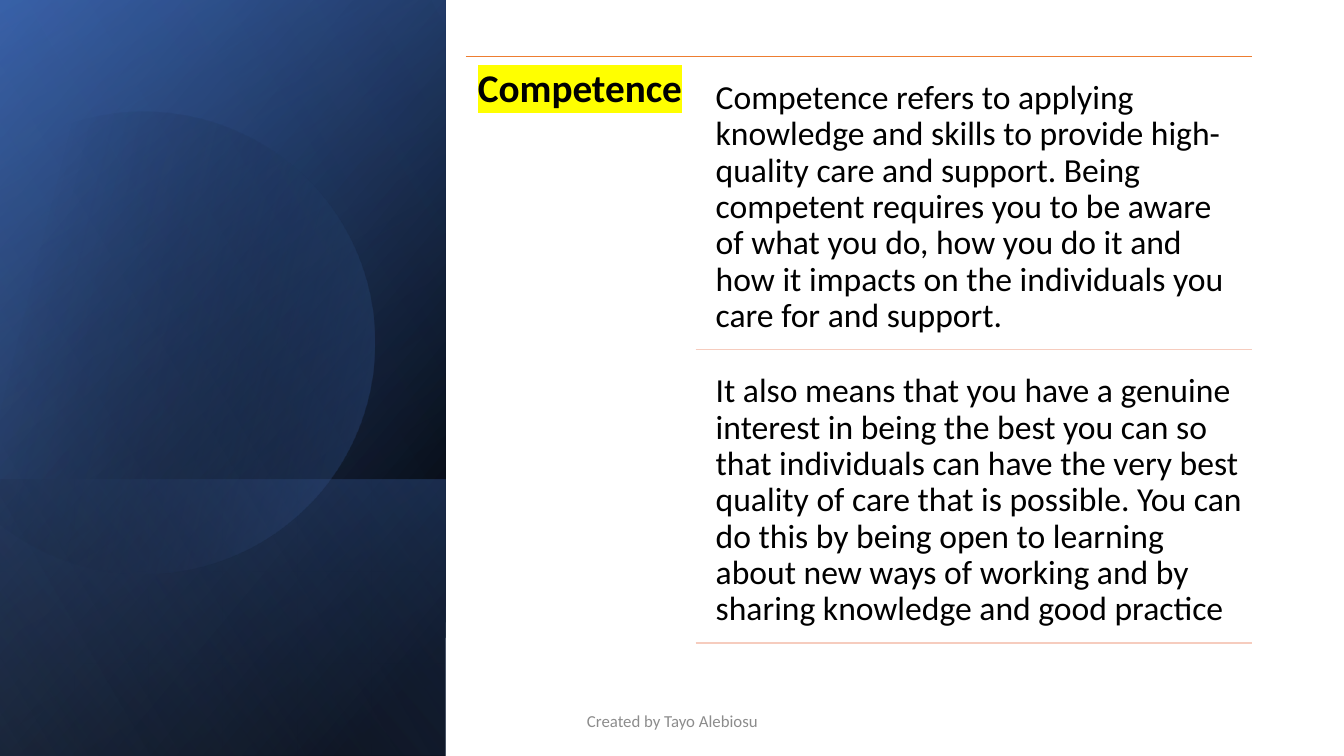
from math import acos, cos, degrees, radians, sin

from pptx import Presentation
from pptx.dml.color import RGBColor as RGB
from pptx.enum.shapes import MSO_CONNECTOR as CONNECTOR, MSO_SHAPE as SHAPE
from pptx.enum.text import MSO_ANCHOR as ANCHOR, MSO_AUTO_SIZE as AUTO_SIZE, PP_ALIGN as ALIGN
from pptx.oxml import parse_xml
from pptx.oxml.ns import nsdecls, qn
from pptx.util import Inches, Pt

COLORS = {
    "black": "000000", "navy": "2F5597", "blue": "4472C4", "sky": "8FAADC",
    "orange": "ED7D31", "peach": "F6CCBE", "yellow": "FFFF00", "grey": "8C8C8C",
}


def fill_gradient(shape, angle, stops):
    """Gradient of (position %, colour, opacity %) stops, without outline or shadow."""
    stop_xml = "".join(
        f'<a:gs pos="{position * 1000}"><a:srgbClr val="{COLORS[color]}">'
        f'<a:alpha val="{opacity * 1000}"/></a:srgbClr></a:gs>'
        for position, color, opacity in stops)
    gradient = parse_xml(
        f'<a:gradFill {nsdecls("a")} rotWithShape="1"><a:gsLst>{stop_xml}</a:gsLst>'
        f'<a:lin ang="{angle * 60000}" scaled="0"/></a:gradFill>')
    shape.shadow.inherit = False
    shape.line.fill.background()
    shape.fill.background()
    properties = shape._element.spPr
    properties.replace(properties.find(qn("a:noFill")), gradient)


def format_text(frame, size, color, inset):
    frame.word_wrap = True
    frame.auto_size = AUTO_SIZE.NONE
    frame.margin_left = frame.margin_right = Inches(inset)
    frame.margin_top = frame.margin_bottom = Inches(inset)
    font = frame.paragraphs[0].runs[0].font
    font.name, font.size = "Calibri", Pt(size)
    font.color.rgb = RGB.from_string(COLORS[color])
    return font


prs = Presentation()
prs.slide_width, prs.slide_height = Inches(13.33), Inches(7.5)
slide = prs.slides.add_slide(prs.slide_layouts[5])
shapes = slide.shapes

# Side panel: rectangles turned a quarter, with the disc under the last one
PANEL_WIDTH, PANEL_HEIGHT = 4.42, 7.5
layers = [
    (PANEL_HEIGHT, 50, [(8, "black", 100), (100, "navy", 100)]),
    (PANEL_HEIGHT, 30, [(0, "black", 0), (99, "blue", 46)]),
    (2.74, 130, [(2, "blue", 29), (100, "black", 30)]),
    ("disc", 30, [(29, "black", 0), (100, "blue", 43)]),
    (PANEL_HEIGHT, 120, [(0, "black", 0), (99, "sky", 11)]),
]
DISC_X, DISC_Y, RADIUS, TILT, CUT_X = 1.41, 3.39, 2.29, 16.1, -0.15
half_arc = degrees(acos((CUT_X - DISC_X) / RADIUS))
STEPS = 120
for height, angle, stops in layers:
    if height == "disc":
        turns = [radians(TILT - half_arc + 2 * half_arc * i / STEPS) for i in range(STEPS + 1)]
        rim = [(Inches(DISC_X + RADIUS * cos(t)), Inches(DISC_Y + RADIUS * sin(t))) for t in turns]
        outline = shapes.build_freeform(*rim[0])
        outline.add_line_segments(rim[1:], close=True)
        layer = outline.convert_to_shape()
        layer.left, layer.top = Inches(-0.55), Inches(1.06)
        layer.rotation = 360 - TILT
    else:
        layer = shapes.add_shape(
            SHAPE.RECTANGLE, Inches((PANEL_WIDTH - height) / 2),
            Inches(PANEL_HEIGHT - (height + PANEL_WIDTH) / 2),
            Inches(height), Inches(PANEL_WIDTH))
        layer.rotation = 90
        layer._element.spPr.find(qn("a:xfrm")).set("flipH", "1")
    fill_gradient(layer, angle, stops)

# Heading
heading = shapes.title
heading.left, heading.top = Inches(4.62), Inches(0.56)
heading.width, heading.height = Inches(2.27), Inches(5.96)
heading.text_frame.text = "Competence"
heading_font = format_text(heading.text_frame, 28, "black", 0.12)
heading_font.bold = True
heading.text_frame.margin_right = 0
heading.text_frame.vertical_anchor = ANCHOR.TOP
heading.text_frame.paragraphs[0].alignment = ALIGN.LEFT
heading.text_frame.paragraphs[0].line_spacing = 0.9
highlight = parse_xml(
    f'<a:highlight {nsdecls("a")}><a:srgbClr val="{COLORS["yellow"]}"/></a:highlight>')
heading_font._element.find(qn("a:latin")).addprevious(highlight)

# Explanations
explanations = [
    "Competence refers to applying knowledge and skills to provide high-quality care and "
    "support. Being competent requires you to be aware of what you do, how you do it and "
    "how it impacts on the individuals you care for and support.",
    "It also means that you have a genuine interest in being the best you can so that "
    "individuals can have the very best quality of care that is possible. You can do this "
    "by being open to learning about new ways of working and by sharing knowledge and "
    "good practice",
]
ROW_TOP, ROW_PITCH = 0.7, 2.91
for row, explanation in enumerate(explanations):
    box = shapes.add_textbox(
        Inches(7), Inches(ROW_TOP + row * ROW_PITCH), Inches(5.42), Inches(2.77))
    box.text_frame.text = explanation
    format_text(box.text_frame, 24, "black", 0.1)
    box.text_frame.paragraphs[0].line_spacing = 0.9

# Rules
rules = [(4.62, 0.56, "orange", 0.5), (6.9, 3.47, "peach", 1), (6.9, 6.38, "peach", 1)]
for start, y, color, weight in rules:
    rule = shapes.add_connector(
        CONNECTOR.STRAIGHT, Inches(start), Inches(y), Inches(12.42), Inches(y))
    rule.line.color.rgb = RGB.from_string(COLORS[color])
    rule.line.width = Pt(weight)
    rule._element.spPr.append(parse_xml(f'<a:effectLst {nsdecls("a")}/>'))

# Footer
footer = shapes.add_textbox(Inches(4.42), Inches(6.95), Inches(4.5), Inches(0.4))
footer.text_frame.text = "Created by Tayo Alebiosu"
format_text(footer.text_frame, 12, "grey", 0.05)
footer.text_frame.vertical_anchor = ANCHOR.MIDDLE
footer.text_frame.paragraphs[0].alignment = ALIGN.CENTER

prs.save("out.pptx")
